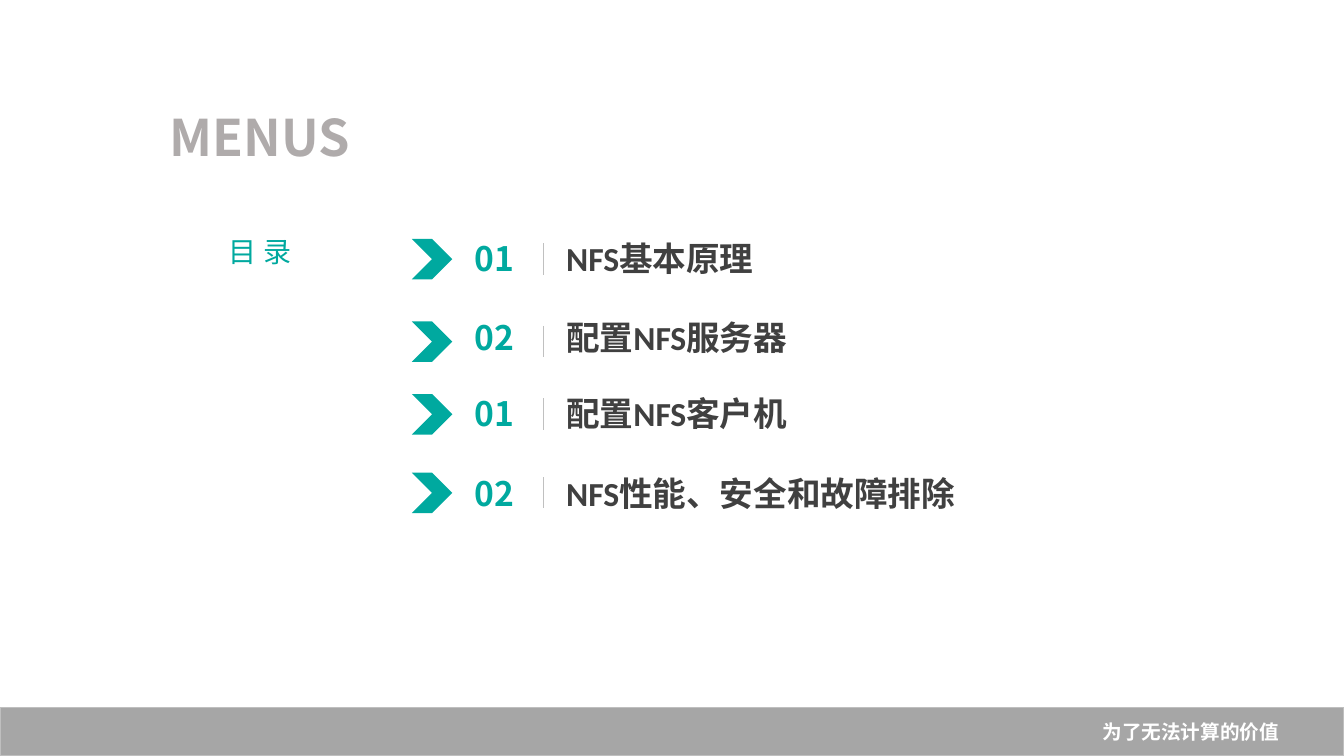
from lxml.etree import SubElement
from pptx import Presentation
from pptx.dml.color import RGBColor
from pptx.enum.shapes import MSO_CONNECTOR as Line, MSO_SHAPE as Shape
from pptx.enum.text import MSO_ANCHOR as Anchor, PP_ALIGN as Align
from pptx.oxml.ns import qn
from pptx.util import Cm, Pt

TEAL = RGBColor(0x00, 0xA9, 0x9F)
DARK = RGBColor(0x40, 0x40, 0x40)
WARM = RGBColor(0xAF, 0xAB, 0xAB)
GREY = RGBColor(0xA6, 0xA6, 0xA6)
EDGE = RGBColor(0xBF, 0xBF, 0xBF)
RULE = RGBColor(0xC0, 0xC0, 0xC0)
WHITE = RGBColor(0xFF, 0xFF, 0xFF)
NOTO, LATIN = "Noto Sans CJK SC", "Calibri"

HEAD = dict(name=NOTO, size=Pt(36), bold=True)
TITLE = dict(name=NOTO, size=Pt(20), bold=False)
NUMBER = dict(name=NOTO, size=Pt(24), bold=True)
TOPIC = dict(name=LATIN, size=Pt(24), bold=True)
MOTTO = dict(name=LATIN, size=Pt(14), bold=True)

# text top, chevron top (cm), number, topic
ROWS = [
    (5.5, 6.02, "01", "NFS基本原理"),
    (7.49, 8.1, "02", "配置NFS服务器"),
    (9.42, 9.93, "01", "配置NFS客户机"),
    (11.43, 11.91, "02", "NFS性能、安全和故障排除"),
]


def write(shape, text, style, color, align=Align.CENTER):
    """Put one formatted line of text into a shape."""
    frame = shape.text_frame
    frame.word_wrap = True
    frame.vertical_anchor = Anchor.MIDDLE
    para = frame.paragraphs[0]
    para.alignment = align
    run = para.add_run()
    run.text = text
    for key, value in style.items():
        setattr(run.font, key, value)
    run.font.color.rgb = color
    SubElement(run.font._element, qn("a:ea"), typeface=NOTO)
    return para


def add_text(slide, box, *args):
    """Add a text box at box, given in cm."""
    write(slide.shapes.add_textbox(*map(Cm, box)), *args)


def add_solid(slide, kind, box, fill, edge=None):
    """Add a flat filled shape, outlined only if edge is given."""
    shape = slide.shapes.add_shape(kind, *map(Cm, box))
    shape.shadow.inherit = False
    shape.fill.solid()
    shape.fill.fore_color.rgb = fill
    if edge is None:
        shape.line.fill.background()
    else:
        shape.line.color.rgb = edge
        shape.line.width = Pt(1)
    return shape


def add_rule(slide, left, top, height):
    """Add a thin upright divider."""
    rule = slide.shapes.add_connector(
        Line.STRAIGHT, Cm(left), Cm(top), Cm(left), Cm(top + height))
    rule.line.color.rgb = RULE
    rule.line.width = Pt(0.5)
    SubElement(rule._element.spPr, qn("a:effectLst"))


def add_row(slide, top, mark, number, topic):
    """Add one menu entry: chevron, number, divider and topic."""
    add_solid(slide, Shape.CHEVRON, (10.38, mark, 1.02, 1.02), TEAL)
    add_text(slide, (11.4, top, 2.13, 2), number, NUMBER, TEAL)
    add_rule(slide, 13.69, mark + 0.11, 0.79)
    add_text(slide, (14.02, top, 11.13, 2), topic, TOPIC, DARK, Align.LEFT)


def set_title(slide, box, text):
    """Place and fill the title placeholder."""
    title = slide.shapes.title
    for key, value in zip(("left", "top", "width", "height"), box):
        setattr(title, key, Cm(value))
    write(title, text, TITLE, TEAL).line_spacing = 0.9


def add_footer(slide):
    """Add the bottom band with its motto at the right."""
    band = add_solid(slide, Shape.RECTANGLE, (0, 17.83, 33.87, 1.22), GREY, EDGE)
    band.text_frame.margin_right = Cm(1.63)
    write(band, "为了无法计算的价值", MOTTO, WHITE, Align.RIGHT)


def main():
    """Build the contents slide and save it."""
    deck = Presentation()
    deck.slide_width, deck.slide_height = Cm(33.87), Cm(19.05)
    slide = deck.slides.add_slide(deck.slide_layouts[5])
    add_footer(slide)
    add_text(slide, (1.9, 2.36, 9.3, 2.13), "MENUS", HEAD, WARM)
    set_title(slide, (3.91, 5.18, 5.28, 2.41), "目 录")
    for row in ROWS:
        add_row(slide, *row)
    deck.save("out.pptx")


main()
